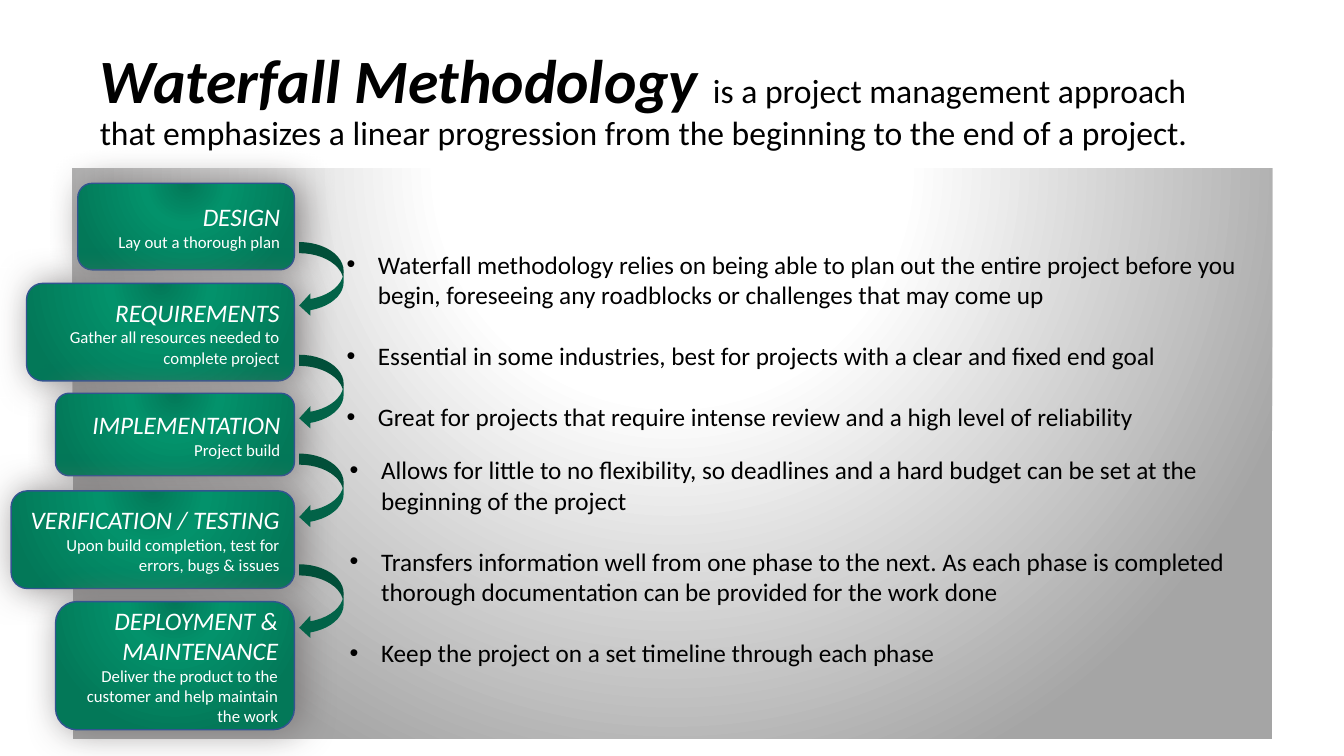
from pptx import Presentation
from pptx.dml.color import RGBColor
from pptx.enum.shapes import MSO_SHAPE
from pptx.enum.text import MSO_ANCHOR, MSO_AUTO_SIZE, PP_ALIGN
from pptx.oxml import parse_xml
from pptx.oxml.ns import nsdecls, qn
from pptx.util import Cm, Pt

PROCESS = MSO_SHAPE.FLOWCHART_PROCESS
ROUNDED = MSO_SHAPE.ROUNDED_RECTANGLE
CURVED_ARROW = MSO_SHAPE.CURVED_DOWN_ARROW
MIDDLE = MSO_ANCHOR.MIDDLE
TOP = MSO_ANCHOR.TOP
LEFT = PP_ALIGN.LEFT
RIGHT = PP_ALIGN.RIGHT
GROW = MSO_AUTO_SIZE.SHAPE_TO_FIT_TEXT
FONT = "Calibri"


def style_font(font, size, color, bold=False, italic=False):
    font.name = FONT
    font.size = Pt(size)
    font.bold = bold
    font.italic = italic
    font.color.rgb = RGBColor.from_string(color)


def fill_radial(shape, edge, middle, rim):
    shape.fill.gradient()
    properties = shape._element.spPr
    stops = "".join(
        f'<a:gs pos="{position}"><a:srgbClr val="{color}"/></a:gs>'
        for position, color in ((0, edge), (35000, middle), (100000, rim))
    )
    gradient = parse_xml(
        f'<a:gradFill {nsdecls("a")} rotWithShape="1"><a:gsLst>{stops}</a:gsLst>'
        '<a:path path="circle"><a:fillToRect l="50000" t="-80000" r="50000" b="180000"/>'
        "</a:path></a:gradFill>"
    )
    properties.replace(properties.find(qn("a:gradFill")), gradient)


presentation = Presentation()
presentation.slide_width = Cm(33.87)
presentation.slide_height = Cm(19.05)
slide = presentation.slides.add_slide(presentation.slide_layouts[3])
title, first_list, second_list = slide.placeholders

panel = slide.shapes.add_shape(PROCESS, Cm(1.83), Cm(4.24), Cm(30.23), Cm(14.38))
panel.shadow.inherit = False
panel.line.fill.background()
fill_radial(panel, "FFFFFF", "FFFFFF", "A5A5A5")
slide.shapes._spTree.insert(2, panel._element)

title.left, title.top, title.width, title.height = Cm(2.26), Cm(0.71), Cm(29.36), Cm(3.68)
title.text_frame.vertical_anchor = MIDDLE
paragraph = title.text_frame.paragraphs[0]
paragraph.alignment = LEFT
paragraph.line_spacing = 0.9
for text, size, strong in (
    ("Waterfall Methodology ", 44, True),
    ("is a project management approach that emphasizes a linear progression "
     "from the beginning to the end of a project.", 24, False),
):
    run = paragraph.add_run()
    run.text = text
    style_font(run.font, size, "000000", strong, strong)

STAGES_RIGHT = 7.42
stages = [
    ("DESIGN", "Lay out a thorough plan", 4.62, 5.46, 2.18),
    ("REQUIREMENTS", "Gather all resources needed to complete project", 7.14, 6.75, 2.46),
    ("IMPLEMENTATION", "Project build", 9.91, 6.02, 2.08),
    ("VERIFICATION / TESTING", "Upon build completion, test for errors, bugs & issues",
     12.37, 7.14, 2.46),
    ("DEPLOYMENT & MAINTENANCE",
     "Deliver the product to the customer and help maintain the work", 15.16, 6.02, 3.23),
]
for name, detail, top, width, height in stages:
    box = slide.shapes.add_shape(
        ROUNDED, Cm(STAGES_RIGHT - width), Cm(top), Cm(width), Cm(height))
    fill_radial(box, "037858", "03926B", "037858")
    box.line.color.rgb = RGBColor.from_string("325491")
    box.line.width = Pt(1)
    box.shadow.inherit = False
    box._element.spPr.find(qn("a:effectLst")).append(parse_xml(
        f'<a:outerShdw {nsdecls("a")} blurRad="{Pt(26)}" dist="{Pt(4)}" dir="0" '
        'algn="ctr" rotWithShape="0"><a:srgbClr val="767171"><a:alpha val="82000"/>'
        "</a:srgbClr></a:outerShdw>"
    ))
    frame = box.text_frame
    frame.vertical_anchor = MIDDLE
    frame.text = f"{name}\n{detail}"
    for paragraph, size, italic in zip(frame.paragraphs, (18, 12), (True, False)):
        paragraph.alignment = RIGHT
        style_font(paragraph.font, size, "FFFFFF", italic=italic)

ARROW_LENGTH, ARROW_DEPTH, ARROW_CENTER = 1.88, 1.12, 8.1
for center in (7.04, 9.88, 12.37, 15.16):
    arrow = slide.shapes.add_shape(
        CURVED_ARROW, Cm(ARROW_CENTER - ARROW_LENGTH / 2), Cm(center - ARROW_DEPTH / 2),
        Cm(ARROW_LENGTH), Cm(ARROW_DEPTH))
    arrow.rotation = 90
    arrow.shadow.inherit = False
    arrow.fill.solid()
    arrow.fill.fore_color.rgb = RGBColor.from_string("026348")
    arrow.line.fill.background()

lists = [
    (first_list, (8.48, 6.15, 23.65, 4.88), [
        "Waterfall methodology relies on being able to plan out the entire project before you "
        "begin, foreseeing any roadblocks or challenges that may come up",
        "Essential in some industries, best for projects with a clear and fixed end goal",
        "Great for projects that require intense review and a high level of reliability",
    ]),
    (second_list, (8.56, 11.33, 22.83, 5.64), [
        "Allows for little to no flexibility, so deadlines and a hard budget can be set at the "
        "beginning of the project",
        "Transfers information well from one phase to the next. As each phase is completed "
        "thorough documentation can be provided for the work done",
        "Keep the project on a set timeline through each phase",
    ]),
]
for body, position, points in lists:
    body.left, body.top, body.width, body.height = map(Cm, position)
    frame = body.text_frame
    frame.text = "\n".join(points)
    frame.auto_size = GROW
    frame.vertical_anchor = TOP
    for number, paragraph in enumerate(frame.paragraphs):
        style_font(paragraph.font, 18, "000000")
        paragraph.space_before = Pt(22 if number else 0)
        properties = paragraph._p.get_or_add_pPr()
        properties.set("marL", str(Cm(0.79)))
        properties.set("indent", str(-Cm(0.79)))

presentation.save("out.pptx")
